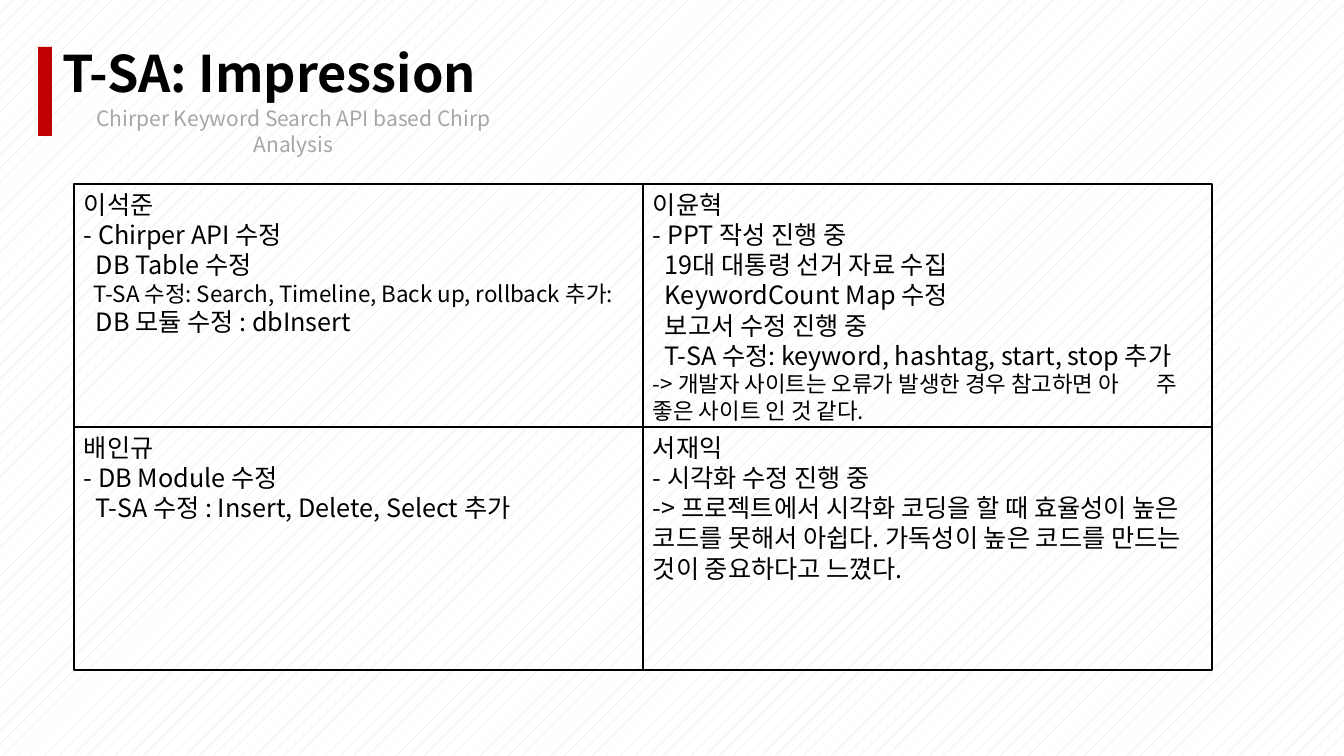
"""Build the T-SA impression slide: a title, a subtitle and a two by two grid of notes."""
import pptx
import pptx.util
import pptx.dml.color
import pptx.enum.dml
import pptx.enum.shapes
import pptx.enum.text

FONT = "Noto Sans CJK KR"
ALIGN = pptx.enum.text.PP_ALIGN
NOTES = [
    [
        ("이석준", {}),
        ("- Chirper API 수정", {}),
        ("DB Table 수정", {"inset": 12}),
        ("T-SA 수정: Search, Timeline, Back up, rollback 추가:", {"size": 16, "inset": 10}),
        ("DB 모듈 수정 : dbInsert", {"inset": 12}),
    ],
    [
        ("이윤혁", {}),
        ("- PPT 작성 진행 중", {}),
        ("19대 대통령 선거 자료 수집", {"inset": 12}),
        ("KeywordCount Map 수정", {"inset": 12}),
        ("보고서 수정 진행 중", {"inset": 12}),
        ("T-SA 수정: keyword, hashtag, start, stop 추가", {"inset": 12}),
        ("-> 개발자 사이트는 오류가 발생한 경우 참고하면 아\t주 좋은 사이트 인 것 같다.",
         {"size": 16, "tab": 510}),
    ],
    [
        ("배인규", {}),
        ("- DB Module 수정", {}),
        ("T-SA 수정 : Insert, Delete, Select 추가", {"inset": 12}),
    ],
    [
        ("서재익", {}),
        ("- 시각화 수정 진행 중", {}),
        ("-> 프로젝트에서 시각화 코딩을 할 때 효율성이 높은 코드를 못해서 아쉽다. "
         "가독성이 높은 코드를 만드는 것이 중요하다고 느꼈다.", {}),
    ],
]


def px(count):
    return pptx.util.Emu(round(count * 914400 / 100.8))


def hue(code):
    return pptx.dml.color.RGBColor.from_string(code)


def add(parent, tag, **attrs):
    node = parent.makeelement(pptx.oxml.ns.qn(tag), attrs)
    parent.append(node)
    return node


def write(para, text, size=18, color="000000", bold=False, align=ALIGN.LEFT, inset=0, tab=0):
    para.alignment = align
    props = para._p.get_or_add_pPr()
    props.set("indent", str(px(inset)))
    if tab:
        add(add(props, "a:tabLst"), "a:tab", pos=str(px(tab)), algn="l")
    run = para.add_run()
    run.text = text
    run.font.size = pptx.util.Pt(size)
    run.font.bold = bold
    run.font.color.rgb = hue(color)
    run.font.name = FONT
    add(run._r.get_or_add_rPr(), "a:ea", typeface=FONT)


class Page:
    def __init__(self, deck):
        self.slide = deck.slides.add_slide(deck.slide_layouts[5])
        fill = self.slide.background.fill
        fill.patterned()
        fill.pattern = pptx.enum.dml.MSO_PATTERN.PERCENT_5
        fill.fore_color.rgb = hue("E3D9D7")
        fill.back_color.rgb = hue("FFFFFF")

    def frame(self, shape, lines):
        frame = shape.text_frame
        frame.word_wrap = True
        frame.auto_size = pptx.enum.text.MSO_AUTO_SIZE.NONE
        frame.vertical_anchor = pptx.enum.text.MSO_ANCHOR.TOP
        for row, (text, style) in enumerate(lines):
            para = frame.add_paragraph() if row else frame.paragraphs[0]
            write(para, text, **style)

    def title(self, text, left, top, width, height, **style):
        shape = self.slide.shapes.title
        shape.left, shape.top = px(left), px(top)
        shape.width, shape.height = px(width), px(height)
        self.frame(shape, [(text, style)])

    def label(self, text, left, top, width, height, **style):
        box = self.slide.shapes.add_textbox(px(left), px(top), px(width), px(height))
        self.frame(box, [(text, style)])

    def block(self, left, top, width, height, fill=None, line=None, lines=()):
        kind = pptx.enum.shapes.MSO_SHAPE.RECTANGLE
        shape = self.slide.shapes.add_shape(kind, px(left), px(top), px(width), px(height))
        shape.shadow.inherit = False
        if fill:
            shape.fill.solid()
            shape.fill.fore_color.rgb = hue(fill)
        else:
            shape.fill.background()
        if line:
            shape.line.color.rgb = hue(line)
            shape.line.width = pptx.util.Pt(1)
        else:
            shape.line.fill.background()
        if lines:
            self.frame(shape, lines)


def main():
    deck = pptx.Presentation()
    deck.slide_width, deck.slide_height = px(1344), px(756)
    page = Page(deck)
    page.block(38, 47, 14, 89, fill="C00000")
    page.title("T-SA: Impression", 52, 37, 775, 72, size=36, bold=True)
    page.label("Chirper Keyword Search API based Chirp Analysis", 52, 101, 483, 35,
               size=15, color="A6A6A6", align=ALIGN.CENTER)
    wide, high = 569, 243
    for spot, lines in enumerate(NOTES):
        row, col = divmod(spot, 2)
        page.block(74 + col * wide, 184 + row * high, wide, high, line="000000", lines=lines)
    deck.save("out.pptx")


if __name__ == "__main__":
    main()
